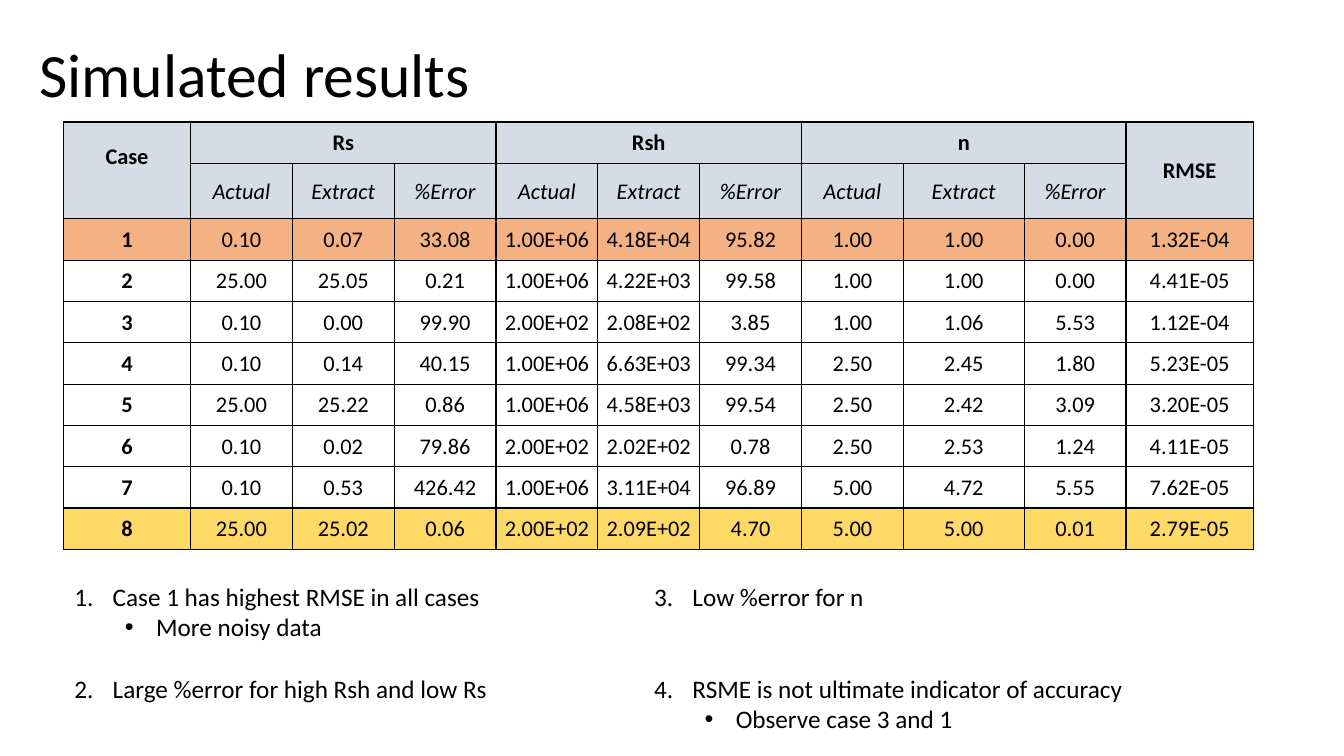
from dataclasses import dataclass

from lxml.etree import SubElement
from pptx import Presentation
from pptx.dml.color import RGBColor
from pptx.enum.text import MSO_ANCHOR, MSO_AUTO_SIZE, PP_ALIGN
from pptx.oxml.ns import qn
from pptx.slide import Slide
from pptx.table import _Cell
from pptx.text.text import _Paragraph
from pptx.util import Inches, Pt


@dataclass(frozen=True)
class Theme:
    font: str = "Calibri"
    ink: str = "000000"
    header: str = "D6DCE5"
    worst: str = "F4B183"
    best: str = "FFD966"
    title_size: int = 44
    note_size: int = 18
    cell_size: int = 16
    border: float = 1


@dataclass(frozen=True)
class Note:
    text: str
    level: int = 0
    space_before: int = 0


@dataclass(frozen=True)
class NoteBox:
    left: float
    height: float
    start: int
    notes: tuple[Note, ...]


THEME = Theme()
NOTE_TOP, NOTE_WIDTH = 5.72, 5.4
NOTE_INDENTS = ((0.38, -0.38), (0.81, -0.31))
NOTE_BOXES = (
    NoteBox(0.64, 1.31, 1, (
        Note("Case 1 has highest RMSE in all cases"),
        Note("More noisy data", level=1),
        Note("Large %error for high Rsh and low Rs", space_before=22),
    )),
    NoteBox(6.39, 1.62, 3, (
        Note("Low %error for n"),
        Note("RSME is not ultimate indicator of accuracy", space_before=44),
        Note("Observe case 3 and 1", level=1),
    )),
)

COLUMN_WIDTHS = (1.26, *[1.01] * 7, 1.2, 1.01, 1.26)
ROW_HEIGHTS = (0.41, 0.55, *[0.41] * 8)
PARAMETERS = ("Rs", "Rsh", "n")
MEASURES = ("Actual", "Extract", "%Error")
CASES = (
    ("0.10", "0.07", "33.08", "1.00E+06", "4.18E+04", "95.82", "1.00", "1.00", "0.00", "1.32E-04"),
    ("25.00", "25.05", "0.21", "1.00E+06", "4.22E+03", "99.58", "1.00", "1.00", "0.00", "4.41E-05"),
    ("0.10", "0.00", "99.90", "2.00E+02", "2.08E+02", "3.85", "1.00", "1.06", "5.53", "1.12E-04"),
    ("0.10", "0.14", "40.15", "1.00E+06", "6.63E+03", "99.34", "2.50", "2.45", "1.80", "5.23E-05"),
    ("25.00", "25.22", "0.86", "1.00E+06", "4.58E+03", "99.54", "2.50", "2.42", "3.09", "3.20E-05"),
    ("0.10", "0.02", "79.86", "2.00E+02", "2.02E+02", "0.78", "2.50", "2.53", "1.24", "4.11E-05"),
    ("0.10", "0.53", "426.42", "1.00E+06", "3.11E+04", "96.89", "5.00", "4.72", "5.55", "7.62E-05"),
    ("25.00", "25.02", "0.06", "2.00E+02", "2.09E+02", "4.70", "5.00", "5.00", "0.01", "2.79E-05"),
)
ROW_FILLS = {0: THEME.header, 1: THEME.header, 2: THEME.worst, 9: THEME.best}


def format_runs(p: _Paragraph, size: int, bold: bool = False, italic: bool = False) -> None:
    for r in p.runs:
        r.font.name = THEME.font
        r.font.size = Pt(size)
        r.font.bold = bold
        r.font.italic = italic
        r.font.color.rgb = RGBColor.from_string(THEME.ink)


def add_title(s: Slide, text: str) -> None:
    sp = s.shapes.title
    sp.left, sp.top, sp.width, sp.height = map(Inches, (0.29, 0.04, 11.5, 1.45))
    tf = sp.text_frame
    tf.text = text
    tf.vertical_anchor = MSO_ANCHOR.MIDDLE
    p = tf.paragraphs[0]
    p.alignment = PP_ALIGN.LEFT
    p.line_spacing = 0.9
    format_runs(p, THEME.title_size)


def style_cell(cell: _Cell, row: int, col: int) -> None:
    cell.margin_left = cell.margin_right = cell.margin_top = Inches(0.01)
    cell.margin_bottom = 0
    cell.vertical_anchor = MSO_ANCHOR.MIDDLE
    tc_pr = cell._tc.get_or_add_tcPr()
    for side in ("lnL", "lnR", "lnT", "lnB"):
        ln = SubElement(tc_pr, qn(f"a:{side}"), w=str(Pt(THEME.border)))
        SubElement(SubElement(ln, qn("a:solidFill")), qn("a:srgbClr"), val=THEME.ink)
    if row in ROW_FILLS:
        cell.fill.solid()
        cell.fill.fore_color.rgb = RGBColor.from_string(ROW_FILLS[row])
    else:
        cell.fill.background()
    p = cell.text_frame.paragraphs[0]
    p.alignment = PP_ALIGN.CENTER
    format_runs(p, THEME.cell_size, bold=row == 0 or col == 0, italic=row == 1)


def add_results_table(s: Slide) -> None:
    last = len(COLUMN_WIDTHS) - 1
    frame = s.shapes.add_table(
        len(ROW_HEIGHTS), len(COLUMN_WIDTHS), Inches(0.63), Inches(1.21),
        Inches(sum(COLUMN_WIDTHS)), Inches(sum(ROW_HEIGHTS)),
    )
    table = frame.table
    table.first_row = table.horz_banding = False
    for column, width in zip(table.columns, COLUMN_WIDTHS):
        column.width = Inches(width)
    for row, height in zip(table.rows, ROW_HEIGHTS):
        row.height = Inches(height)

    for col, text in ((0, "Case"), (last, "RMSE")):
        table.cell(0, col).merge(table.cell(1, col))
        table.cell(0, col).text = text
    for i, parameter in enumerate(PARAMETERS):
        first = 1 + i * len(MEASURES)
        table.cell(0, first).merge(table.cell(0, first + len(MEASURES) - 1))
        table.cell(0, first).text = parameter
        for j, measure in enumerate(MEASURES):
            table.cell(1, first + j).text = measure
    for number, values in enumerate(CASES, start=1):
        for col, text in enumerate((str(number), *values)):
            table.cell(number + 1, col).text = text

    for row in range(len(ROW_HEIGHTS)):
        for col in range(len(COLUMN_WIDTHS)):
            style_cell(table.cell(row, col), row, col)
    table.cell(0, 0).margin_bottom = Inches(0.27)


def add_marker(p: _Paragraph, level: int, start: int) -> None:
    margin, indent = NOTE_INDENTS[level]
    p_pr = p._p.get_or_add_pPr()
    p_pr.set("marL", str(Inches(margin)))
    p_pr.set("indent", str(Inches(indent)))
    if level:
        SubElement(p_pr, qn("a:buFont"), typeface="Arial")
        SubElement(p_pr, qn("a:buChar"), char="•")
    else:
        SubElement(p_pr, qn("a:buAutoNum"), type="arabicPeriod", startAt=str(start))


def add_note_box(s: Slide, box: NoteBox) -> None:
    sp = s.shapes.add_textbox(*map(Inches, (box.left, NOTE_TOP, NOTE_WIDTH, box.height)))
    tf = sp.text_frame
    tf.word_wrap = True
    tf.auto_size = MSO_AUTO_SIZE.SHAPE_TO_FIT_TEXT
    for i, note in enumerate(box.notes):
        p = tf.add_paragraph() if i else tf.paragraphs[0]
        p.text = note.text
        p.level = note.level
        p.space_before = Pt(note.space_before)
        add_marker(p, note.level, box.start)
        format_runs(p, THEME.note_size)


def main() -> None:
    prs = Presentation()
    prs.slide_width, prs.slide_height = Inches(13.33), Inches(7.5)
    s = prs.slides.add_slide(prs.slide_layouts.get_by_name("Title Only"))
    add_title(s, "Simulated results")
    add_results_table(s)
    for box in NOTE_BOXES:
        add_note_box(s, box)
    prs.save("out.pptx")


if __name__ == "__main__":
    main()
